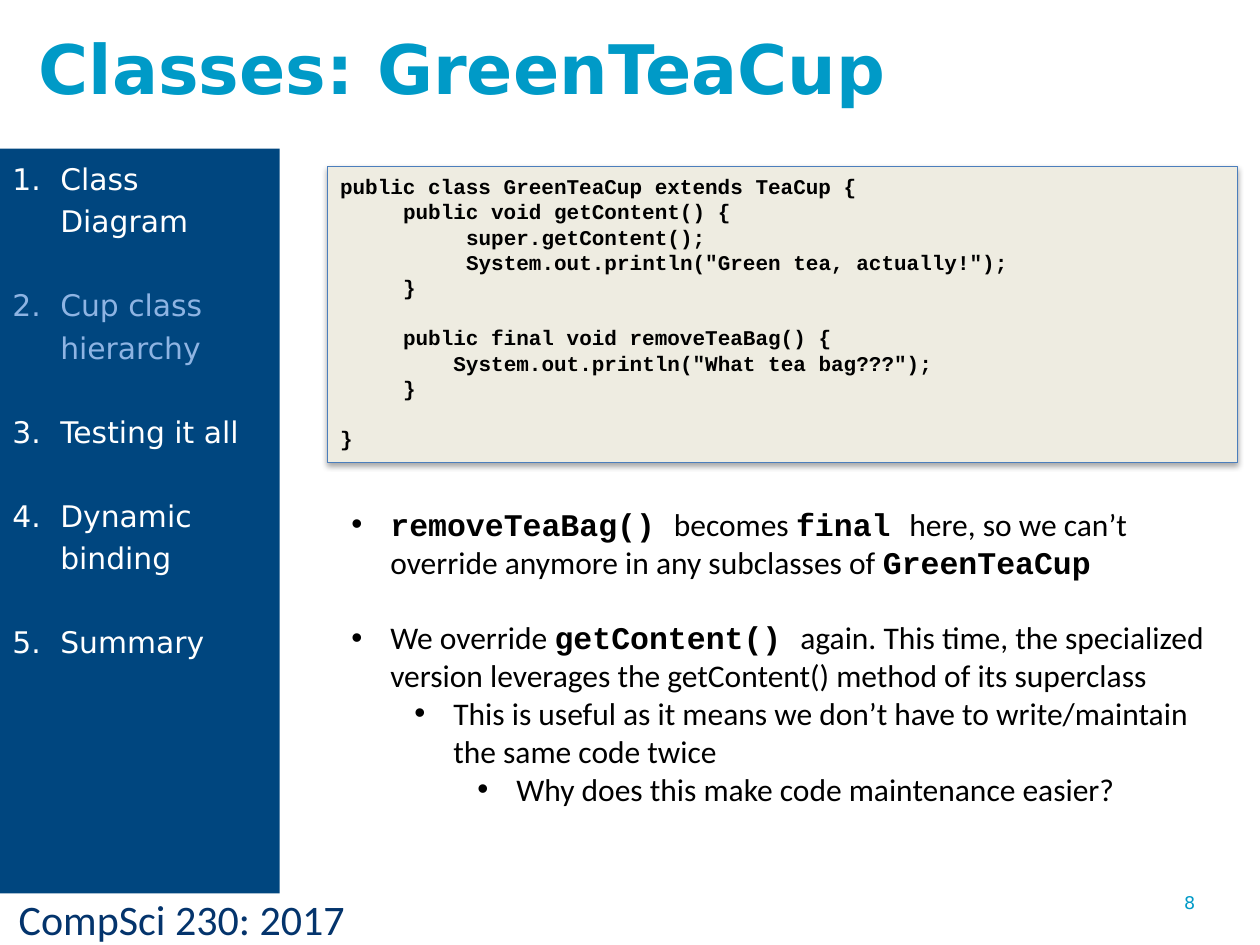
"""Build the GreenTeaCup class slide."""
from lxml.etree import SubElement
from pptx import Presentation
from pptx.dml.color import RGBColor
from pptx.enum.shapes import MSO_SHAPE as Shape
from pptx.enum.text import MSO_ANCHOR as Anchor, PP_ALIGN as Align
from pptx.oxml.ns import qn
from pptx.util import Inches, Pt

SANS, BODY, MONO = "DejaVu Sans", "Calibri", "Courier New"
BLUE, NAVY, WHITE, BLACK = "009AC7", "00467F", "FFFFFF", "000000"

LABELS = [
    ("CompSci 230: 2017", (0.05, 7.04, 4.05, 0.5), Anchor.TOP,
     dict(name=BODY, size=24, color="04346C")),
    ("8", (9.3, 7.03, 0.7, 0.52), Anchor.TOP, dict(name=SANS, size=10, color=BLUE)),
    ("Classes: GreenTeaCup", (0.21, 0.14, 7.13, 0.78), Anchor.MIDDLE,
     dict(name=SANS, size=39, color=BLUE, bold=True)),
]
# Each code line: indent in inches, blank lines before it, text
CODE = [
    (0, 0, "public class GreenTeaCup extends TeaCup {"),
    (0.5, 0, "public void getContent() {"),
    (1, 0, "super.getContent();"),
    (1, 0, 'System.out.println("Green tea, actually!");'),
    (0.5, 0, "}"),
    (0.5, 1, "public final void removeTeaBag() {"),
    (0.9, 0, 'System.out.println("What tea bag???");'),
    (0.5, 0, "}"),
    (0, 1, "}"),
]
# Each bullet: level, blank lines before it, runs as (text, is code)
BULLETS = [
    (0, 0, [("removeTeaBag() ", True), ("becomes ", False), ("final ", True),
            ("here, so we can’t override anymore in any subclasses of ", False),
            ("GreenTeaCup", True)]),
    (0, 1, [("We override ", False), ("getContent() ", True),
            ("again. This time, the specialized version leverages the "
             "getContent() method of its superclass", False)]),
    (1, 0, [("This is useful as it means we don’t have to write/maintain "
             "the same code twice", False)]),
    (2, 0, [("Why does this make code maintenance easier?", False)]),
]
AGENDA = ["Class Diagram", "Cup class hierarchy", "Testing it all",
          "Dynamic binding", "Summary"]
CURRENT = "Cup class hierarchy"


def rgb(color):
    return RGBColor.from_string(color)


def add_box(slide, place, fill=None, line=None):
    box = [Inches(value) for value in place]
    if fill is None:
        shape = slide.shapes.add_textbox(*box)
    else:
        shape = slide.shapes.add_shape(Shape.RECTANGLE, *box)
        shape.shadow.inherit = False
        shape.fill.solid()
        shape.fill.fore_color.rgb = rgb(fill)
        if line:
            shape.line.color.rgb = rgb(line)
            shape.line.width = Pt(0.75)
        else:
            shape.line.fill.background()
    shape.text_frame.word_wrap = True
    shape.text_frame.vertical_anchor = Anchor.TOP
    return shape


def add_run(paragraph, text, size, color, **formats):
    run = paragraph.add_run()
    run.text = text
    run.font.size = Pt(size)
    run.font.color.rgb = rgb(color)
    for key, value in formats.items():
        setattr(run.font, key, value)


def add_paragraph(frame, first, pitch, blanks, left=0, hanging=0, bullet=None):
    paragraph = frame.paragraphs[0] if first else frame.add_paragraph()
    formats = dict(alignment=Align.LEFT, line_spacing=Pt(pitch),
                   space_before=Pt(pitch * blanks), space_after=Pt(0))
    for key, value in formats.items():
        setattr(paragraph, key, value)
    properties = paragraph._p.get_or_add_pPr()
    properties.set("marL", str(Inches(left)))
    properties.set("indent", str(-Inches(hanging)))
    if bullet == "number":
        SubElement(properties, qn("a:buFont"), typeface=SANS)
        SubElement(properties, qn("a:buAutoNum"), type="arabicPeriod")
    elif bullet:
        SubElement(properties, qn("a:buFont"), typeface="Arial")
        SubElement(properties, qn("a:buChar"), char=bullet)
    return paragraph


def add_shadow(shape):
    effects = shape._element.spPr.find(qn("a:effectLst"))
    shadow = SubElement(effects, qn("a:outerShdw"), blurRad=str(Pt(3.1)),
                        dist=str(Pt(1.8)), dir="5400000", rotWithShape="0")
    color = SubElement(shadow, qn("a:srgbClr"), val=BLACK)
    SubElement(color, qn("a:alpha"), val="35000")


def main():
    presentation = Presentation()
    presentation.slide_width, presentation.slide_height = Inches(10), Inches(7.5)
    slide = presentation.slides.add_slide(presentation.slide_layouts[6])

    add_shadow(add_box(slide, (2.6, 1.32, 7.22, 2.35), "EEECE1", "4B7EBC"))

    for text, place, anchor, formats in LABELS:
        frame = add_box(slide, place).text_frame
        frame.vertical_anchor = anchor
        add_run(frame.paragraphs[0], text, **formats)

    frame = add_box(slide, (2.6, 1.33, 7.29, 2.43)).text_frame
    for index, (left, blanks, text) in enumerate(CODE):
        paragraph = add_paragraph(frame, index == 0, 14.4, blanks, left)
        add_run(paragraph, text, 12, BLACK, name=MONO, bold=True)

    frame = add_box(slide, (2.69, 3.96, 7.04, 2.83)).text_frame
    for index, (level, blanks, runs) in enumerate(BULLETS):
        paragraph = add_paragraph(frame, index == 0, 21.6, blanks,
                                  0.31 + 0.5 * level, 0.31, "•")
        paragraph.level = level
        for text, is_code in runs:
            add_run(paragraph, text, 18, BLACK,
                    name=MONO if is_code else BODY, bold=is_code)

    frame = add_box(slide, (0, 1.18, 2.22, 5.91), NAVY).text_frame
    for index, text in enumerate(AGENDA):
        paragraph = add_paragraph(frame, index == 0, 24, min(index, 1),
                                  0.38, 0.38, "number")
        color = "8EB4E3" if text == CURRENT else WHITE
        add_run(paragraph, text, 17, color, name=SANS)

    presentation.save("out.pptx")


if __name__ == "__main__":
    main()
